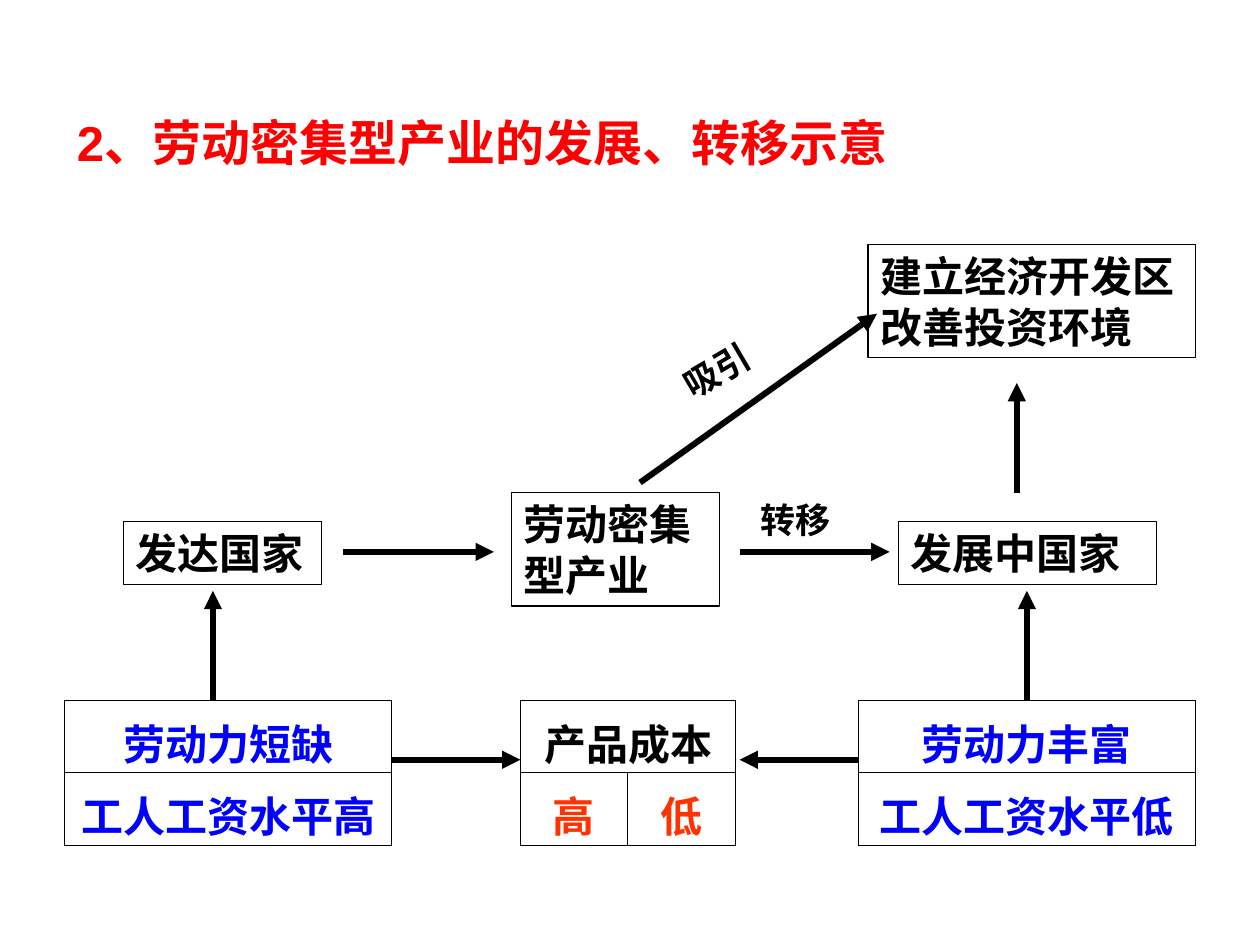
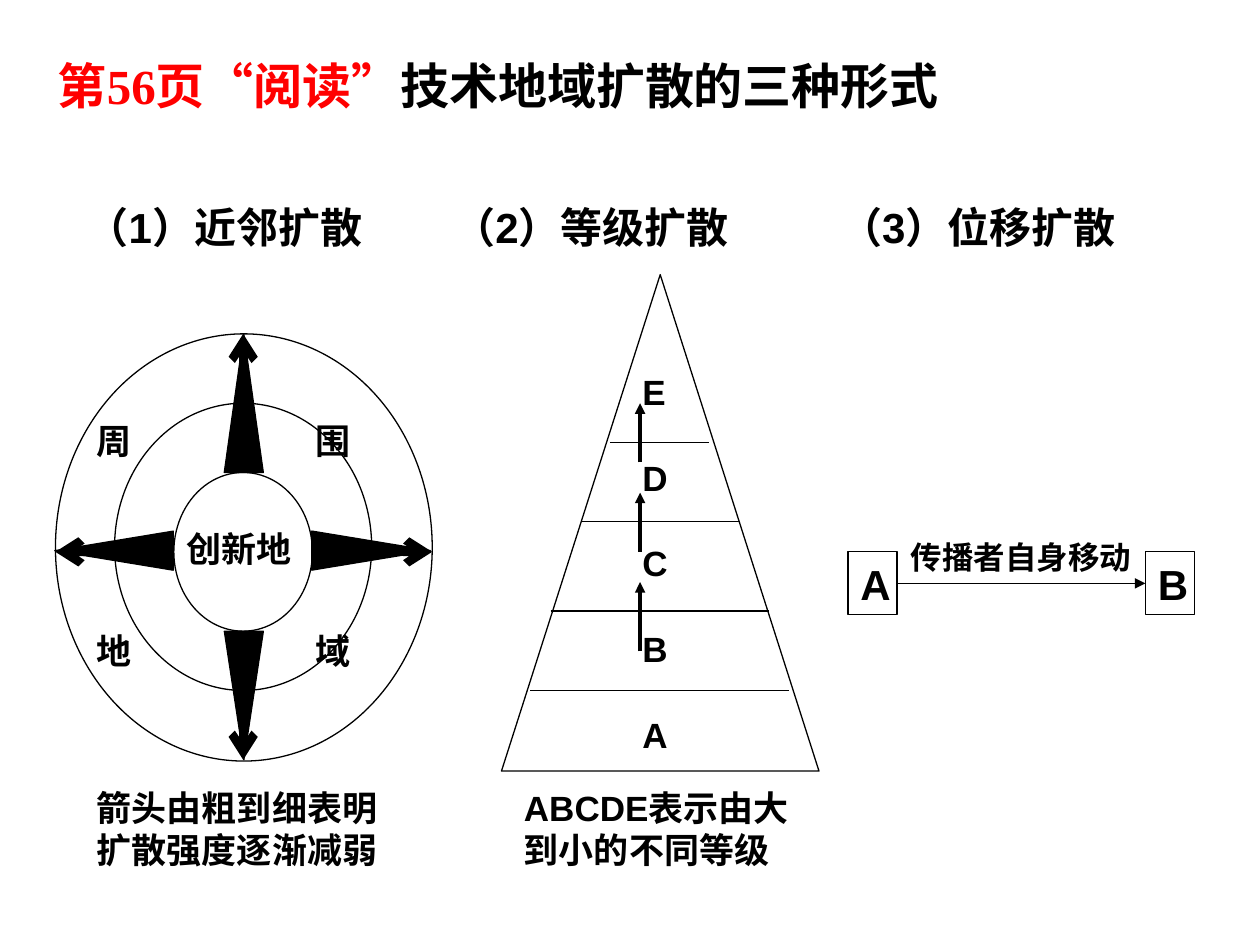
from lxml import etree
from pptx import Presentation, oxml, util as u
from pptx.dml.color import RGBColor
from pptx.enum import shapes as s, text as t
from pptx.oxml.ns import qn

BLACK = RGBColor(0x00, 0x00, 0x00)
RED = RGBColor(0xFF, 0x00, 0x00)
BLUE = RGBColor(0x00, 0x00, 0xFF)
ORANGE = RGBColor(0xFF, 0x33, 0x00)
SANS, SERIF = "Arial", "Times New Roman"
TITLE_SIZE, HEAD_SIZE, NOTE_SIZE, SMALL_SIZE = 28, 24, 20, 18
THIN, BORDER = 0.75, 0.45

# Slide 1: boxes and labels are (text, left, top, width, height)
TRANSFER_TITLE = [("2、劳动密集型产业的发展、转移示意", SANS, RED)]
BOXES = [
    ("发达国家", 0.98, 4.14, 1.57, 0.5),
    ("劳动密集型产业", 4.06, 3.91, 1.65, 0.9),
    ("建立经济开发区改善投资环境", 6.89, 1.94, 2.6, 0.9),
    ("发展中国家", 7.13, 4.14, 2.05, 0.5),
]
ARROW_LABELS = [
    ("吸引", 5.3, 2.67, 0.95, 0.44, 329.7),
    ("转移", 5.94, 3.91, 1.1, 0.44, 0),
]
TABLE_TOP = 5.56
TABLES = [  # left, column widths, row heights, rows of (text, colour)
    (0.51, [2.6], [0.5, 0.5], [[("劳动力短缺", BLUE)], [("工人工资水平高", BLUE)]]),
    (4.13, [0.85, 0.86], [0.5, 0.53],
     [[("产品成本", BLACK)], [("高", ORANGE), ("低", ORANGE)]]),
    (6.81, [2.68], [0.5, 0.5], [[("劳动力丰富", BLUE)], [("工人工资水平低", BLUE)]]),
]
FLOW_ARROWS = [  # from x, from y, to x, to y
    (3.11, 6.03, 4.13, 6.03), (6.81, 6.03, 5.87, 6.03),
    (2.72, 4.38, 3.92, 4.38), (5.87, 4.38, 7.06, 4.38),
    (8.15, 5.56, 8.15, 4.69), (1.69, 5.56, 1.69, 4.69),
    (8.07, 3.91, 8.07, 3.04), (5.08, 3.83, 6.96, 2.49),
]

# Slide 2
DIFFUSION_TITLE = [("第56页“阅读”", SERIF, RED), ("技术地域扩散的三种形式", SERIF, BLACK)]
HEADINGS = [("（1）近邻扩散", 0.59), ("（2）等级扩散", 3.5), ("（3）位移扩散", 6.57)]
CAPTIONS = [("箭头由粗到细表明扩散强度逐渐减弱", 0.67, 2.44),
            ("ABCDE表示由大到小的不同等级", 4.06, 2.46)]
RINGS = [(1.38, 3.75, 1.1, 1.26), (0.91, 3.2, 2.04, 2.28), (0.44, 2.65, 2.99, 3.39)]
REGION = [["周", "围"], ["地", "域"]]
REGION_X, REGION_Y = [0.67, 2.41], [3.28, 4.95]
WEDGES = [  # left, top, width, height, rotation
    (2.79, 3.9, 0.31, 0.94, 90), (1.78, 5.01, 0.31, 1.02, 180),
    (1.78, 2.65, 0.31, 1.1, 0), (0.75, 3.9, 0.31, 0.94, 270),
]
SPREAD_ARROWS = [(2.48, 4.38, 3.43, 4.38), (1.11, 4.38, 0.44, 4.38),
                 (1.93, 5.09, 1.93, 6.03), (1.93, 3.75, 1.93, 2.65)]
PYRAMID = (3.98, 2.18, 2.52, 3.94)
LEVELS = ["E", "D", "C", "B", "A"]
LEVEL_LINES = [(4.21, 6.26, 5.48), (4.37, 6.1, 4.85), (4.61, 5.87, 4.14), (4.84, 5.63, 3.51)]
CLIMB_X, CLIMBS = 5.08, [(5.17, 4.62), (4.38, 3.91), (3.67, 3.2)]
PLACES = [("A", 6.73), ("B", 9.09)]


def inches(*lengths):
    return [u.Inches(length) for length in lengths]


def style(target, **values):
    for name, value in values.items():
        setattr(target, name, value)


def write_runs(paragraph, runs, size):
    """Add bold runs given as (text, font name, colour)."""
    for words, name, color in runs:
        run = paragraph.add_run()
        run.text = words
        style(run.font, name=name, size=u.Pt(size), bold=True)
        run.font.color.rgb = color


def write_frame(shape, paragraphs, size, wrap=True, gap=0):
    frame = shape.text_frame
    style(frame, word_wrap=wrap, auto_size=t.MSO_AUTO_SIZE.NONE,
          vertical_anchor=t.MSO_ANCHOR.TOP,
          margin_left=u.Inches(0.1), margin_right=u.Inches(0.1),
          margin_top=u.Inches(0.05), margin_bottom=u.Inches(0.05))
    for index, runs in enumerate(paragraphs):
        paragraph = frame.add_paragraph() if index else frame.paragraphs[0]
        paragraph.alignment = t.PP_ALIGN.LEFT
        if index:
            paragraph.space_before = u.Pt(gap)
        write_runs(paragraph, runs, size)


def add_label(shapes, lines, place, size, wrap=True, gap=0, rotation=0):
    box = shapes.add_textbox(*inches(*place))
    box.rotation = rotation
    write_frame(box, [[(line, SANS, BLACK)] for line in lines], size, wrap, gap)


def add_outline(shapes, kind, place, fill=None, rotation=0):
    shape = shapes.add_shape(kind, *inches(*place))
    shape.shadow.inherit = False
    shape.rotation = rotation
    if fill is None:
        shape.fill.background()
    else:
        shape.fill.solid()
        shape.fill.fore_color.rgb = fill
    shape.line.color.rgb = BLACK
    shape.line.width = u.Pt(THIN)
    return shape


def add_box(shapes, words, place):
    box = add_outline(shapes, s.MSO_SHAPE.RECTANGLE, place)
    write_frame(box, [[(words, SANS, BLACK)]], HEAD_SIZE)
    return box


def add_line(shapes, ends, width, head=None):
    line = shapes.add_connector(s.MSO_CONNECTOR.STRAIGHT, *inches(*ends))
    line.line.color.rgb = BLACK
    line.line.width = u.Pt(width)
    if head:
        etree.SubElement(line.line._get_or_add_ln(), qn("a:tailEnd"), type=head)
    etree.SubElement(line._element.spPr, qn("a:effectLst"))
    return line


def border_cell(cell):
    properties = cell._tc.get_or_add_tcPr()
    for index, side in enumerate(("lnL", "lnR", "lnT", "lnB")):
        properties.insert(index, oxml.parse_xml(
            f'<a:{side} xmlns:a="http://schemas.openxmlformats.org/drawingml/2006/main" '
            f'w="{u.Pt(BORDER)}"><a:solidFill><a:srgbClr val="{BLACK}"/></a:solidFill></a:{side}>'))


def add_grid(shapes, left, widths, heights, rows):
    """Add a bordered table; a row with one entry spans all columns."""
    frame = shapes.add_table(len(heights), len(widths),
                             *inches(left, TABLE_TOP, sum(widths), sum(heights)))
    table = frame.table
    style(table, first_row=False, horz_banding=False)
    for column, width in zip(table.columns, widths):
        column.width = u.Inches(width)
    for row, height in zip(table.rows, heights):
        row.height = u.Inches(height)
    for cell in table.iter_cells():
        cell.fill.background()
        border_cell(cell)
        style(cell, margin_top=u.Inches(0.09), margin_bottom=0)
    for index, entries in enumerate(rows):
        if len(entries) < len(widths):
            table.cell(index, 0).merge(table.cell(index, len(widths) - 1))
        for column, (words, color) in enumerate(entries):
            paragraph = table.cell(index, column).text_frame.paragraphs[0]
            paragraph.alignment = t.PP_ALIGN.CENTER
            write_runs(paragraph, [(words, SANS, color)], HEAD_SIZE)


def add_titled_slide(presentation, runs, left, top):
    slide = presentation.slides.add_slide(presentation.slide_layouts[5])
    title = slide.shapes.title
    title.left, title.top, title.width, title.height = inches(left, top, 7.56, 0.57)
    write_frame(title, [runs], TITLE_SIZE)
    return slide


def build_transfer(presentation):
    shapes = add_titled_slide(presentation, TRANSFER_TITLE, 0.51, 0.84).shapes
    for words, *place in BOXES:
        add_box(shapes, words, place)
    for words, *place, rotation in ARROW_LABELS:
        add_label(shapes, [words], place, NOTE_SIZE, rotation=rotation)
    for grid in TABLES:
        add_grid(shapes, *grid)
    for ends in FLOW_ARROWS:
        add_line(shapes, ends, 3.5, "triangle")


def draw_rings(shapes):
    for ring in RINGS:
        add_outline(shapes, s.MSO_SHAPE.OVAL, ring)
    add_label(shapes, ["创新地"], (1.38, 4.14, 1.03, 0.44), NOTE_SIZE, wrap=False)
    for top, row in zip(REGION_Y, REGION):
        for left, word in zip(REGION_X, row):
            add_label(shapes, [word], (left, top, 0.6, 0.44), NOTE_SIZE)
    for *place, rotation in WEDGES:
        add_outline(shapes, s.MSO_SHAPE.ISOSCELES_TRIANGLE, place, BLACK, rotation)
    for ends in SPREAD_ARROWS:
        add_line(shapes, ends, 4.75, "arrow")


def draw_pyramid(shapes):
    add_outline(shapes, s.MSO_SHAPE.ISOSCELES_TRIANGLE, PYRAMID)
    for left, right, y in LEVEL_LINES:
        add_line(shapes, (left, y, right, y), THIN)
    add_label(shapes, LEVELS, (5, 2.89, 0.4, 3.1), NOTE_SIZE, wrap=False, gap=25)
    for start, end in CLIMBS:
        add_line(shapes, (CLIMB_X, start, CLIMB_X, end), 2, "triangle")


def draw_relocation(shapes):
    origin, target = [add_box(shapes, name, (left, 4.38, 0.39, 0.5)) for name, left in PLACES]
    move = add_line(shapes, (7.12, 4.63, 9.09, 4.63), THIN, "triangle")
    move.begin_connect(origin, 3)
    move.end_connect(target, 1)
    add_label(shapes, ["传播者自身移动"], (7.13, 4.22, 1.95, 0.4), SMALL_SIZE, wrap=False)


def build_diffusion(presentation):
    shapes = add_titled_slide(presentation, DIFFUSION_TITLE, 0.36, 0.39).shapes
    for draw in (draw_rings, draw_pyramid, draw_relocation):
        draw(shapes.add_group_shape().shapes)
    for words, left in HEADINGS:
        add_label(shapes, [words], (left, 1.55, 2.76, 0.5), HEAD_SIZE)
    for words, left, width in CAPTIONS:
        add_label(shapes, [words], (left, 6.19, width, 0.77), NOTE_SIZE)


def main():
    presentation = Presentation()
    presentation.slide_width, presentation.slide_height = inches(10, 7.5)
    build_transfer(presentation)
    build_diffusion(presentation)
    presentation.save("out.pptx")


if __name__ == "__main__":
    main()
